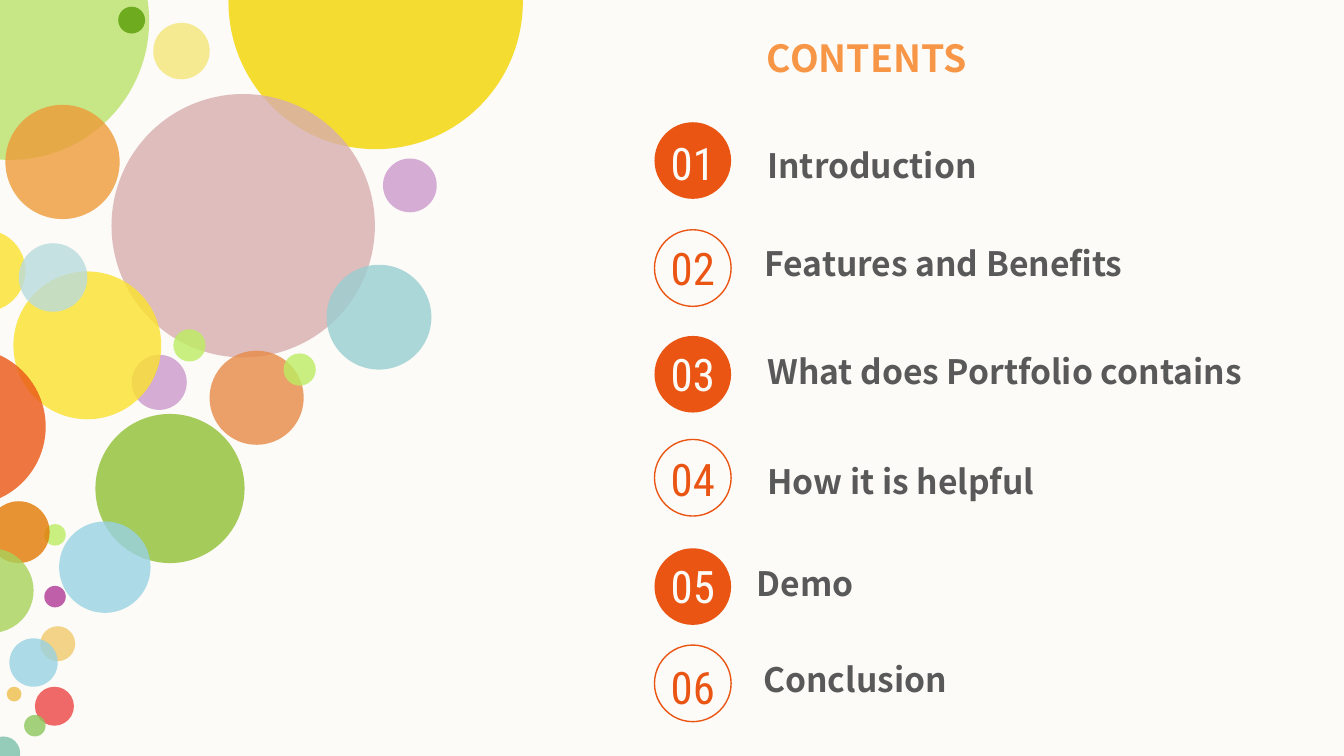
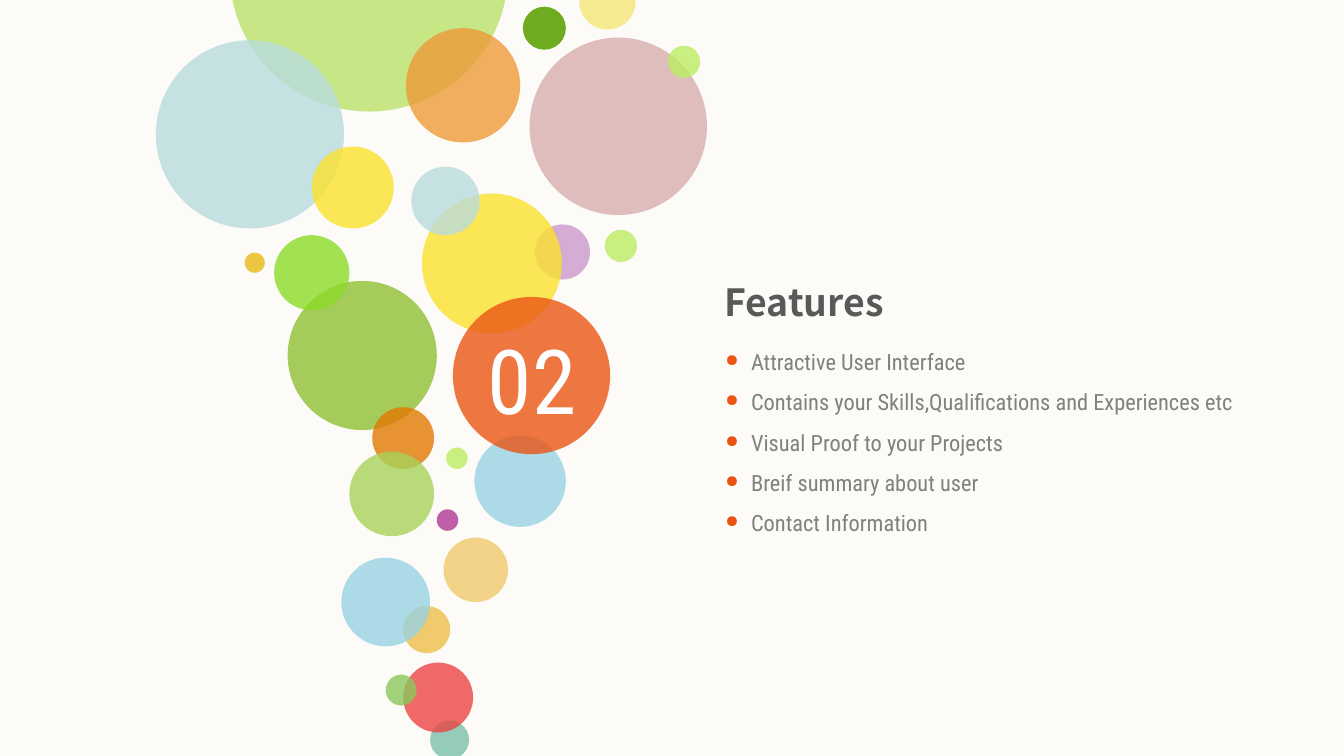
from dataclasses import dataclass
from typing import NamedTuple

from lxml.etree import SubElement
from pptx import Presentation
from pptx.dml.color import RGBColor
from pptx.enum.shapes import MSO_SHAPE
from pptx.enum.text import MSO_ANCHOR, MSO_AUTO_SIZE, PP_ALIGN
from pptx.oxml.ns import qn
from pptx.shapes.autoshape import Shape
from pptx.slide import Slide
from pptx.util import Inches, Pt


@dataclass(frozen=True)
class Theme:
    # Surfaces and text
    paper: str = "FCFBF7"
    white: str = "FFFFFF"
    accent: str = "EA5514"
    title: str = "F79646"
    heading: str = "595959"
    body: str = "808080"
    # Bubbles
    lime: str = "BAE36B"
    forest: str = "6EAB1F"
    apricot: str = "ED9B38"
    cream: str = "F5EA91"
    gold: str = "F4D500"
    rose: str = "D8AEAF"
    teal: str = "99CED2"
    lilac: str = "CB99CC"
    copper: str = "E78A47"
    moss: str = "A5CB5A"
    sprout: str = "BCED61"
    lemon: str = "FBE22D"
    purple: str = "B03896"
    sand: str = "F0CA6C"
    jade: str = "7BBFAA"
    red: str = "EB4544"
    leaf: str = "8DC65B"
    sky: str = "98D2E3"
    mist: str = "B9DBDD"
    orange: str = "E27902"
    grass: str = "A9D25A"
    green: str = "8CDB27"
    mustard: str = "E9B915"
    # Fonts and type sizes
    heading_font: str = "Noto Sans CJK SC"
    body_font: str = "Roboto Condensed"
    title_size: int = 20
    label_size: int = 18
    number_size: int = 24
    section_size: int = 48
    bullet_size: int = 12
    bullet_mark_percent: int = 75


THEME = Theme()
BUBBLE_OPACITY = 80
BADGE_LEFT = 4.87
BADGE_SIZE = 0.57


class Bubble(NamedTuple):
    left: float
    top: float
    size: float
    color: str
    opacity: int = BUBBLE_OPACITY


class TextStyle(NamedTuple):
    font: str
    size: int
    color: str
    bold: bool = False
    align: PP_ALIGN = PP_ALIGN.LEFT


class Entry(NamedTuple):
    label: str
    badge_top: float
    number_top: float
    label_left: float
    label_top: float
    label_width: float


CONTENTS_BUBBLES = [
    Bubble(-0.96, -0.88, 2.07, THEME.lime),
    Bubble(0.88, 0.05, 0.2, THEME.forest, 100),
    Bubble(0.04, 0.78, 0.85, THEME.apricot),
    Bubble(1.14, 0.17, 0.42, THEME.cream, 100),
    Bubble(1.7, -1.08, 2.19, THEME.gold),
    Bubble(0.83, 0.7, 1.96, THEME.rose),
    Bubble(2.43, 1.97, 0.78, THEME.teal),
    Bubble(2.85, 1.18, 0.4, THEME.lilac),
    Bubble(1.56, 2.61, 0.7, THEME.copper),
    Bubble(0.71, 3.08, 1.11, THEME.moss, 100),
    Bubble(2.11, 2.63, 0.24, THEME.sprout),
    Bubble(1.29, 2.45, 0.24, THEME.sprout),
    Bubble(0.98, 2.64, 0.41, THEME.lilac),
    Bubble(0.1, 2.02, 1.1, THEME.lemon),
    Bubble(-0.42, 1.71, 0.61, THEME.lemon),
    Bubble(0.33, 3.9, 0.16, THEME.sprout),
    Bubble(0.33, 4.36, 0.16, THEME.purple),
    Bubble(0.3, 4.66, 0.26, THEME.sand),
    Bubble(0.05, 5.11, 0.11, THEME.sand, 100),
    Bubble(-0.1, 5.48, 0.25, THEME.jade),
    Bubble(0.26, 5.11, 0.29, THEME.red),
    Bubble(0.18, 5.32, 0.16, THEME.leaf),
    Bubble(0.07, 4.75, 0.36, THEME.sky),
    Bubble(0.14, 1.81, 0.51, THEME.mist),
    Bubble(0.44, 3.88, 0.68, THEME.sky),
    Bubble(-0.09, 3.73, 0.46, THEME.orange),
    Bubble(-0.38, 4.08, 0.63, THEME.grass),
    Bubble(-0.83, 2.59, 1.17, THEME.accent),
]

FEATURES_BUBBLES = [
    Bubble(1.71, -1.24, 2.07, THEME.lime),
    Bubble(3.89, 0.05, 0.32, THEME.forest, 100),
    Bubble(1.16, 0.3, 1.4, THEME.mist),
    Bubble(3.02, 0.21, 0.85, THEME.apricot),
    Bubble(4.31, -0.2, 0.42, THEME.cream, 100),
    Bubble(3.94, 0.28, 1.32, THEME.rose),
    Bubble(2.14, 2.09, 1.11, THEME.moss, 100),
    Bubble(4.97, 0.34, 0.24, THEME.sprout),
    Bubble(4.5, 1.71, 0.24, THEME.sprout),
    Bubble(3.98, 1.67, 0.41, THEME.lilac),
    Bubble(3.14, 1.44, 1.04, THEME.lemon),
    Bubble(2.32, 1.09, 0.61, THEME.lemon),
    Bubble(2.04, 1.75, 0.56, THEME.green),
    Bubble(1.82, 1.88, 0.15, THEME.mustard),
    Bubble(3.32, 3.33, 0.16, THEME.sprout),
    Bubble(3.25, 3.79, 0.16, THEME.purple),
    Bubble(3.3, 4, 0.48, THEME.sand),
    Bubble(3, 4.51, 0.35, THEME.sand, 100),
    Bubble(3.2, 5.36, 0.29, THEME.jade),
    Bubble(3, 4.93, 0.52, THEME.red),
    Bubble(2.87, 5.02, 0.23, THEME.leaf),
    Bubble(2.54, 4.15, 0.66, THEME.sky),
    Bubble(3.06, 1.24, 0.51, THEME.mist),
    Bubble(3.53, 3.24, 0.68, THEME.sky),
    Bubble(2.77, 3.03, 0.46, THEME.orange),
    Bubble(2.6, 3.36, 0.63, THEME.grass),
    Bubble(3.37, 2.21, 1.17, THEME.accent),
]

ENTRIES = [
    Entry("Introduction", 0.91, 1.01, 5.71, 1.08, 2.76),
    Entry("Features and Benefits", 1.71, 1.79, 5.69, 1.81, 3.01),
    Entry("What does Portfolio contains", 2.5, 2.58, 5.71, 2.61, 4.14),
    Entry("How it is helpful", 3.27, 3.36, 5.71, 3.43, 2.76),
    Entry("Demo", 4.08, 4.16, 5.63, 4.19, 2.76),
    Entry("Conclusion", 4.8, 4.91, 5.68, 4.9, 3.01),
]

FEATURES = [
    "Attractive User Interface",
    "Contains your Skills,Qualifications and Experiences etc",
    "Visual Proof to your Projects",
    "Breif summary about user",
    "Contact Information",
]


def add_page(deck: Presentation, bubbles: list[Bubble]) -> Slide:
    """Add a blank page with the paper background and its bubbles."""
    page = deck.slides.add_slide(deck.slide_layouts[6])
    page.background.fill.solid()
    page.background.fill.fore_color.rgb = RGBColor.from_string(THEME.paper)
    for bubble in bubbles:
        fill_circle(add_circle(page, bubble.left, bubble.top, bubble.size),
                    bubble.color, bubble.opacity)
    return page


def add_circle(page: Slide, left: float, top: float, size: float) -> Shape:
    circle = page.shapes.add_shape(MSO_SHAPE.OVAL, Inches(left), Inches(top),
                                   Inches(size), Inches(size))
    circle.shadow.inherit = False
    circle.line.fill.background()
    return circle


def fill_circle(circle: Shape, color: str, opacity: int = 100) -> None:
    circle.fill.solid()
    circle.fill.fore_color.rgb = RGBColor.from_string(color)
    if opacity < 100:
        tint = circle.fill._xPr.find(qn("a:solidFill"))[0]
        SubElement(tint, qn("a:alpha"), val=str(opacity * 1000))


def add_text(page: Slide, left: float, top: float, width: float, height: float,
             text: str, style: TextStyle, inset: bool = False) -> Shape:
    """Add a text box; each line of the text becomes a paragraph."""
    box = page.shapes.add_textbox(Inches(left), Inches(top), Inches(width), Inches(height))
    frame = box.text_frame
    frame.word_wrap = True
    frame.auto_size = MSO_AUTO_SIZE.SHAPE_TO_FIT_TEXT
    frame.vertical_anchor = MSO_ANCHOR.TOP
    if not inset:
        frame.margin_left = frame.margin_right = frame.margin_top = frame.margin_bottom = 0
    frame.text = text
    for para in frame.paragraphs:
        para.alignment = style.align
        for span in para.runs:
            span.font.name = style.font
            span.font.size = Pt(style.size)
            span.font.bold = style.bold
            span.font.color.rgb = RGBColor.from_string(style.color)
    return box


def add_bullets(box: Shape) -> None:
    indent = Inches(0.19)
    for para in box.text_frame.paragraphs:
        para.line_spacing = 1.5
        properties = para._p.get_or_add_pPr()
        properties.set("marL", str(indent))
        properties.set("indent", str(-indent))
        color = SubElement(properties, qn("a:buClr"))
        SubElement(color, qn("a:srgbClr"), val=THEME.accent)
        SubElement(properties, qn("a:buSzPct"), val=str(THEME.bullet_mark_percent * 1000))
        SubElement(properties, qn("a:buChar"), char="●")


def add_entry(page: Slide, number: int, entry: Entry) -> None:
    """Draw a numbered contents line; odd badges are filled, even ones outlined."""
    badge = add_circle(page, BADGE_LEFT, entry.badge_top, BADGE_SIZE)
    if number % 2:
        fill_circle(badge, THEME.accent)
        number_color = THEME.paper
    else:
        badge.fill.background()
        badge.line.color.rgb = RGBColor.from_string(THEME.accent)
        badge.line.width = Pt(0.75)
        number_color = THEME.accent
    add_text(page, BADGE_LEFT, entry.number_top, BADGE_SIZE, 0.4, f"{number:02}",
             TextStyle(THEME.body_font, THEME.number_size, number_color,
                       align=PP_ALIGN.CENTER))
    add_text(page, entry.label_left, entry.label_top, entry.label_width, 0.3, entry.label,
             TextStyle(THEME.heading_font, THEME.label_size, THEME.heading, bold=True))


def build_contents(deck: Presentation) -> None:
    page = add_page(deck, CONTENTS_BUBBLES)
    title = add_text(page, 5.08, 0.26, 2.74, 0.52, "CONTENTS",
                     TextStyle(THEME.heading_font, THEME.title_size, THEME.title,
                               bold=True, align=PP_ALIGN.CENTER))
    title.text_frame.auto_size = MSO_AUTO_SIZE.NONE
    for number, entry in enumerate(ENTRIES, start=1):
        add_entry(page, number, entry)


def build_features(deck: Presentation) -> None:
    page = add_page(deck, FEATURES_BUBBLES)
    # Section number and heading
    add_text(page, 3.56, 2.42, 0.8, 0.81, "02",
             TextStyle(THEME.body_font, THEME.section_size, THEME.white,
                       align=PP_ALIGN.CENTER))
    add_text(page, 5.39, 2.08, 3.04, 0.34, "Features",
             TextStyle(THEME.heading_font, THEME.title_size, THEME.heading, bold=True))
    # Feature list
    box = add_text(page, 5.3, 2.44, 4.17, 1.61, "\n".join(FEATURES),
                   TextStyle(THEME.body_font, THEME.bullet_size, THEME.body), inset=True)
    box.text_frame.word_wrap = False
    add_bullets(box)


def main() -> None:
    deck = Presentation()
    # Widescreen, 16:9
    deck.slide_width = Inches(10)
    deck.slide_height = Inches(10) * 9 // 16
    build_contents(deck)
    build_features(deck)
    deck.save("out.pptx")


if __name__ == "__main__":
    main()
